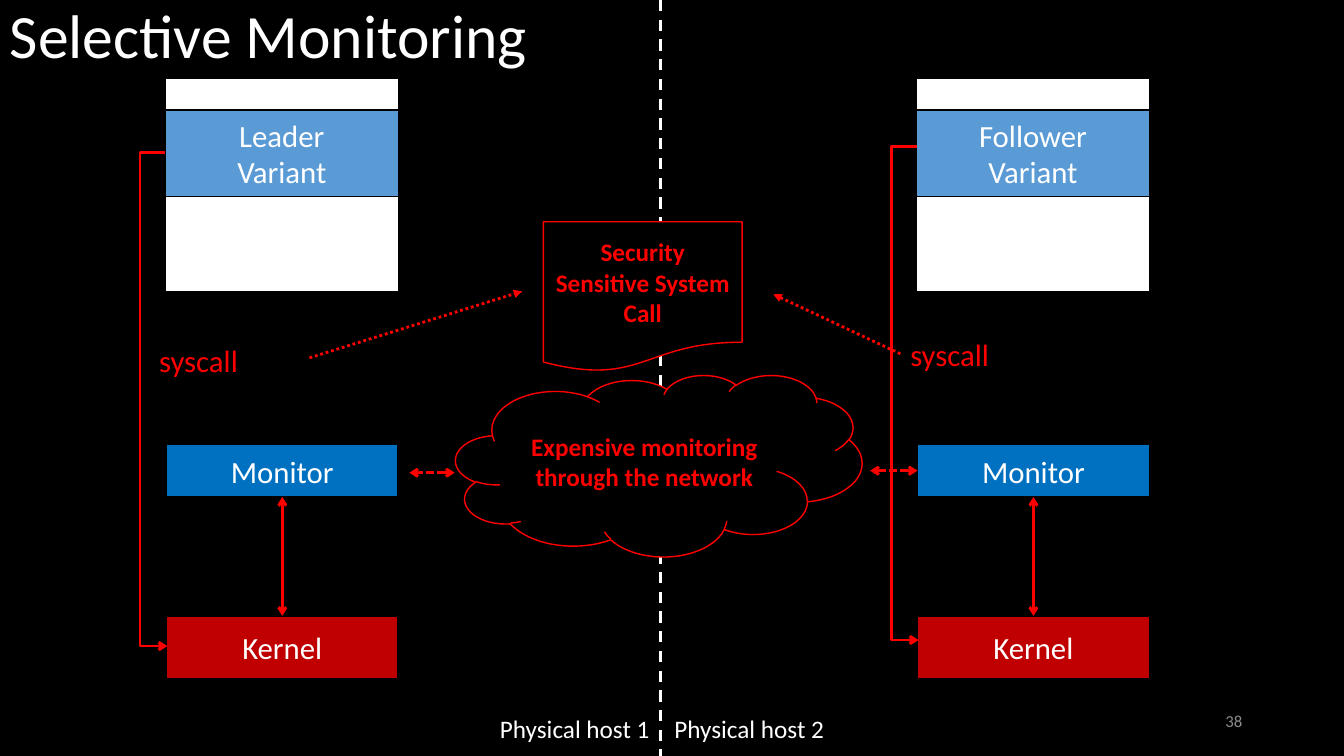
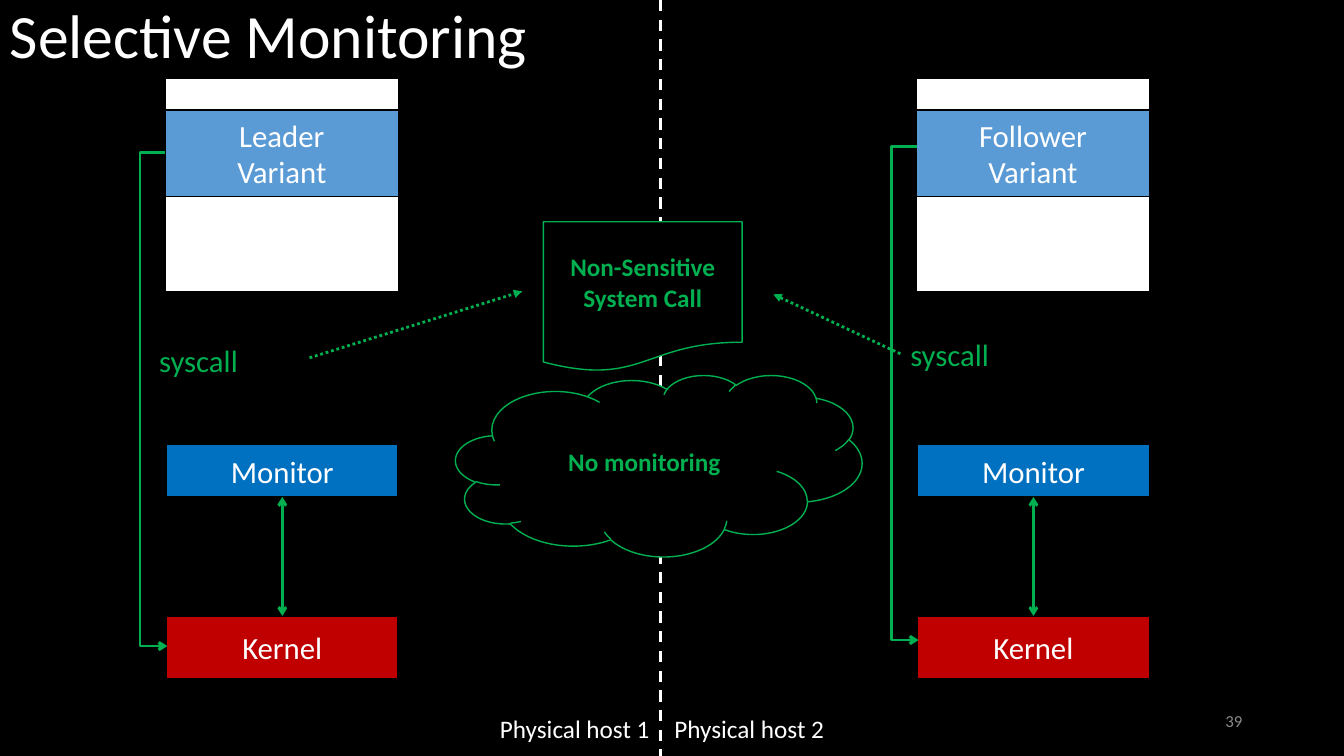
import dataclasses

import lxml.etree
import pptx
import pptx.dml.color
import pptx.enum.dml
import pptx.enum.shapes
import pptx.enum.text
import pptx.oxml.ns
import pptx.util

Inches = pptx.util.Inches
SHAPE = pptx.enum.shapes.MSO_SHAPE
CONNECTOR = pptx.enum.shapes.MSO_CONNECTOR
ALIGN = pptx.enum.text.PP_ALIGN
ANCHOR = pptx.enum.text.MSO_ANCHOR
DASH = pptx.enum.dml.MSO_LINE

FONT = "Calibri"
BLACK, WHITE, GREY = "000000", "FFFFFF", "8C8C8C"
VARIANT, MONITOR, KERNEL = "5B9BD5", "0070C0", "C00000"
RED, GREEN = "FF0000", "00B050"


def rgb(value):
    return pptx.dml.color.RGBColor.from_string(value)


def add_xml(parent, tag, **attributes):
    return lxml.etree.SubElement(parent, pptx.oxml.ns.qn(tag), attributes)


@dataclasses.dataclass
class Deck:
    """Holds the style, the accent colour and the current slide."""

    prs: object
    slide: object = None
    accent: str = RED

    def new_slide(self, accent):
        self.accent = accent
        self.slide = self.prs.slides.add_slide(self.prs.slide_layouts[6])
        fill = self.slide.background.fill
        fill.solid()
        fill.fore_color.rgb = rgb(BLACK)

    def set_text(self, sp, lines, size, color, bold, align, anchor, spacing=None):
        tf = sp.text_frame
        tf.vertical_anchor = anchor
        for i, line in enumerate(lines):
            p = tf.add_paragraph() if i else tf.paragraphs[0]
            p.alignment = align
            p.line_spacing = spacing
            r = p.add_run()
            r.text = line
            r.font.name = FONT
            r.font.size = pptx.util.Pt(size)
            r.font.bold = bold
            r.font.color.rgb = rgb(color)

    def text(self, x, y, w, h, line, size, color=WHITE, align=ALIGN.LEFT,
             anchor=ANCHOR.TOP, wrap=True, spacing=None):
        sp = self.slide.shapes.add_textbox(Inches(x), Inches(y), Inches(w), Inches(h))
        sp.text_frame.word_wrap = wrap
        self.set_text(sp, [line], size, color, False, align, anchor, spacing)

    def shape(self, kind, x, y, w, h, fill, line=BLACK, lines=(), size=22,
              color=WHITE, bold=False):
        sp = self.slide.shapes.add_shape(kind, Inches(x), Inches(y), Inches(w), Inches(h))
        sp.shadow.inherit = False
        sp.fill.solid()
        sp.fill.fore_color.rgb = rgb(fill)
        sp.line.color.rgb = rgb(line)
        sp.line.width = pptx.util.Pt(1)
        self.set_text(sp, lines, size, color, bold, ALIGN.CENTER, ANCHOR.MIDDLE)
        return sp

    def callout(self, kind, x, y, w, h, line):
        self.shape(kind, x, y, w, h, BLACK, self.accent, [line], 18, self.accent, True)

    def line(self, x1, y1, x2, y2, color=None, dash=None, head=None, tail=None,
             kind=CONNECTOR.STRAIGHT):
        cxn = self.slide.shapes.add_connector(
            kind, Inches(x1), Inches(y1), Inches(x2), Inches(y2))
        cxn.line.color.rgb = rgb(color or self.accent)
        cxn.line.width = pptx.util.Pt(2)
        if dash:
            cxn.line.dash_style = dash
        sp_pr = cxn.element.spPr
        ln = sp_pr.find(pptx.oxml.ns.qn("a:ln"))
        for tag, end in (("a:headEnd", head), ("a:tailEnd", tail)):
            if end:
                add_xml(ln, tag, type=end)
        add_xml(sp_pr, "a:effectLst")
        return cxn

    def elbow(self, x, y, width, height, reach):
        cxn = self.line(x, y, x + width, y + height, tail="arrow", kind=CONNECTOR.ELBOW)
        guides = cxn.element.spPr.find(".//" + pptx.oxml.ns.qn("a:avLst"))
        bend = round(-reach / width * 100000)
        add_xml(guides, "a:gd", name="adj1", fmla=f"val {bend}")

    def host(self, x, role, call_y):
        rect, w = SHAPE.RECTANGLE, 2.31
        self.shape(rect, x, 0.78, w, 2.11, WHITE)
        self.shape(rect, x, 1.09, w, 0.86, VARIANT, lines=[role, "Variant"])
        monitor = self.shape(rect, x + 0.01, 4.41, 2.3, 0.52, MONITOR, lines=["Monitor"])
        kernel = self.shape(rect, x + 0.01, 6.11, 2.3, 0.62, KERNEL, lines=["Kernel"])
        self.text(x - 0.16, call_y + 1.83, 0.99, 0.47, "syscall", 22, self.accent, wrap=False)
        self.elbow(x, call_y, 0.02, 4.9, 0.25)
        middle = x + 1.16
        cxn = self.line(middle, 6.11, middle, 4.93, head="arrow", tail="arrow")
        cxn.begin_connect(kernel, 0)
        cxn.end_connect(monitor, 2)
        return monitor

    def monitoring(self, number, accent, call, effort, networked):
        self.new_slide(accent)
        self.text(0, 0, 12.05, 1.45, "Selective Monitoring", 44, spacing=0.9)
        self.text(9.42, 6.95, 3, 0.4, str(number), 12, GREY, ALIGN.RIGHT, ANCHOR.MIDDLE)
        for i, x in enumerate((4.86, 6.59), 1):
            self.text(x, 7.03, 1.72, 0.47, f"Physical host {i}", 18)
        self.line(6.55, 0, 6.55, 7.5, WHITE, DASH.DASH)
        self.host(1.64, "Leader", 1.51)
        follower_monitor = self.host(9.09, "Follower", 1.45)
        self.callout(SHAPE.CLOUD, 4.52, 3.72, 4.03, 1.8, effort)
        self.callout(SHAPE.FLOWCHART_DOCUMENT, 5.39, 2.2, 1.97, 1.49, call)
        for ends in ((3.07, 3.55, 5.18, 2.89), (8.93, 3.51, 7.67, 2.92)):
            self.line(*ends, dash=DASH.ROUND_DOT, tail="triangle")
        if networked:
            style = {"dash": DASH.SQUARE_DOT, "head": "arrow", "tail": "arrow"}
            self.line(4.51, 4.69, 4.06, 4.69, **style)
            cxn = self.line(9.1, 4.67, 8.63, 4.67, **style)
            cxn.begin_connect(follower_monitor, 1)


def main():
    prs = pptx.Presentation()
    prs.slide_width, prs.slide_height = Inches(13.33), Inches(7.5)
    deck = Deck(prs)
    deck.monitoring(38, RED, "Security Sensitive System Call",
                    "Expensive monitoring through the network", True)
    deck.monitoring(39, GREEN, "Non-Sensitive System Call", "No monitoring", False)
    prs.save("out.pptx")


if __name__ == "__main__":
    main()
